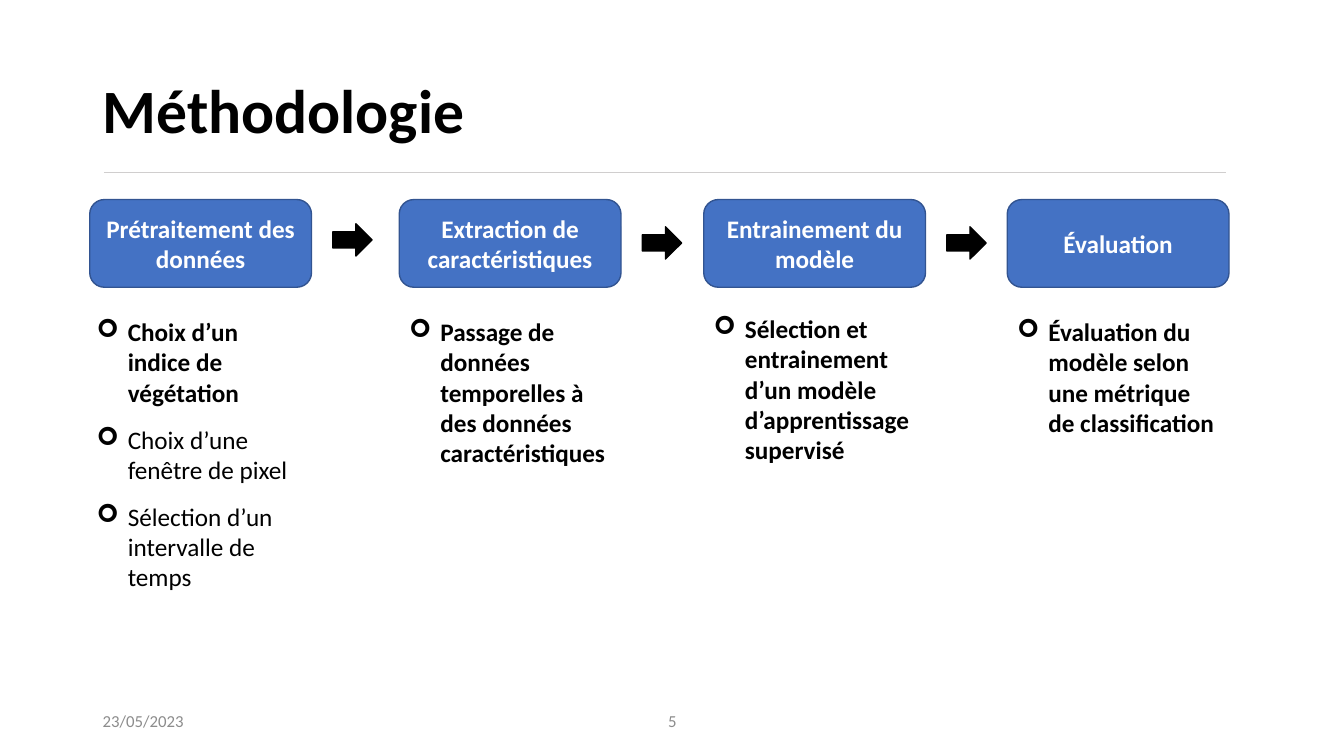
from lxml import etree
from pptx import Presentation
from pptx.dml.color import RGBColor
from pptx.enum.shapes import MSO_CONNECTOR, MSO_SHAPE
from pptx.enum.text import MSO_ANCHOR, PP_ALIGN
from pptx.oxml.ns import qn
from pptx.util import Inches, Pt

LEFT, CENTER = PP_ALIGN.LEFT, PP_ALIGN.CENTER
TOP, MIDDLE = MSO_ANCHOR.TOP, MSO_ANCHOR.MIDDLE
ROUNDED, ARROW = MSO_SHAPE.ROUNDED_RECTANGLE, MSO_SHAPE.RIGHT_ARROW
STRAIGHT = MSO_CONNECTOR.STRAIGHT

# Content
TITLE = "Méthodologie"
DATE = "23/05/2023"
PAGE_NUMBER = "5"
# Each step: heading, card left, notes (left, top, height), arrow top, points (text, bold)
STEPS = [
    ("Prétraitement des données", 0.89, (0.86, 3.09, 2.88), 2.22, [
        ("Choix d’un indice de végétation", True),
        ("Choix d’une fenêtre de pixel", False),
        ("Sélection d’un intervalle de temps", False)]),
    ("Extraction de caractéristiques", 3.96, (3.96, 3.09, 1.62), 2.25, [
        ("Passage de données temporelles à des données caractéristiques", True)]),
    ("Entrainement du modèle", 6.98, (6.98, 3.06, 1.62), 2.25, [
        ("Sélection et entrainement d’un modèle d’apprentissage supervisé", True)]),
    ("Évaluation", 9.99, (9.99, 3.09, 1.31), None, [
        ("Évaluation du modèle selon une métrique de classification", True)]),
]

# Style
FONT = "Calibri"
COLORS = {"text": "000000", "footer": "8C8C8C", "card": "4472C4",
          "card_line": "325491", "card_text": "FFFFFF", "rule": "D0CECE"}
CARD_TOP, CARD_W, CARD_H = 1.98, 2.2, 0.87
ARROW_GAP, ARROW_W, ARROW_H = 0.21, 0.39, 0.32
BULLET_INDENT = Inches(0.31)
POINT_GAP = Pt(12)


def color(name):
    return RGBColor.from_string(COLORS[name])


def style(paragraph, size, color_name, bold=False, align=LEFT):
    paragraph.alignment = align
    paragraph.font.name = FONT
    paragraph.font.size = Pt(size)
    paragraph.font.bold = bold
    paragraph.font.color.rgb = color(color_name)


def add_text_frame(slide, left, top, width, height, anchor=MIDDLE):
    box = slide.shapes.add_textbox(Inches(left), Inches(top), Inches(width), Inches(height))
    frame = box.text_frame
    frame.word_wrap = True
    frame.vertical_anchor = anchor
    return frame


def add_label(slide, text, area, size, color_name, bold=False, align=LEFT):
    label = add_text_frame(slide, *area).paragraphs[0]
    label.text = text
    style(label, size, color_name, bold, align)
    return label


def add_filled(slide, preset, left, top, width, height, fill, line):
    shape = slide.shapes.add_shape(
        preset, Inches(left), Inches(top), Inches(width), Inches(height))
    shape.shadow.inherit = False
    shape.fill.solid()
    shape.fill.fore_color.rgb = color(fill)
    shape.line.color.rgb = color(line)
    shape.line.width = Pt(1)
    return shape


def add_bullet(paragraph):
    properties = paragraph._p.get_or_add_pPr()
    properties.set("marL", str(BULLET_INDENT))
    properties.set("indent", str(-BULLET_INDENT))
    etree.SubElement(properties, qn("a:buFont")).set("typeface", "Wingdings")
    etree.SubElement(properties, qn("a:buChar")).set("char", "➢")


def add_card(slide, heading, left):
    card = add_filled(slide, ROUNDED, left, CARD_TOP, CARD_W, CARD_H, "card", "card_line")
    frame = card.text_frame
    frame.word_wrap = True
    frame.vertical_anchor = MIDDLE
    frame.text = heading
    style(frame.paragraphs[0], 18, "card_text", True, CENTER)


def add_points(slide, points, left, top, height):
    frame = add_text_frame(slide, left, top, CARD_W, height, TOP)
    for i, (text, bold) in enumerate(points):
        point = frame.add_paragraph() if i else frame.paragraphs[0]
        point.text = text
        add_bullet(point)
        style(point, 18, "text", bold)
        if i:
            point.space_before = POINT_GAP


def main():
    prs = Presentation()
    prs.slide_width, prs.slide_height = Inches(13.33), Inches(7.5)
    slide = prs.slides.add_slide(prs.slide_layouts[6])

    # Title and rule
    title = add_label(slide, TITLE, (0.92, 0.4, 11.5, 1.45), 44, "text", True)
    title.line_spacing = 0.9
    rule = slide.shapes.add_connector(
        STRAIGHT, Inches(1.03), Inches(1.71), Inches(12.16), Inches(1.71))
    rule.line.color.rgb = color("rule")
    rule.line.width = Pt(1)
    etree.SubElement(rule._element.spPr, qn("a:effectLst"))

    # Steps: card, points, arrow to the next card
    for heading, left, notes_area, arrow_top, points in STEPS:
        add_card(slide, heading, left)
        add_points(slide, points, *notes_area)
        if arrow_top is not None:
            add_filled(slide, ARROW, left + CARD_W + ARROW_GAP, arrow_top,
                       ARROW_W, ARROW_H, "text", "text")

    # Footer
    add_label(slide, DATE, (0.92, 6.95, 3, 0.4), 12, "footer")
    add_label(slide, PAGE_NUMBER, (5.17, 6.95, 3, 0.4), 12, "footer", align=CENTER)

    prs.save("out.pptx")


if __name__ == "__main__":
    main()
